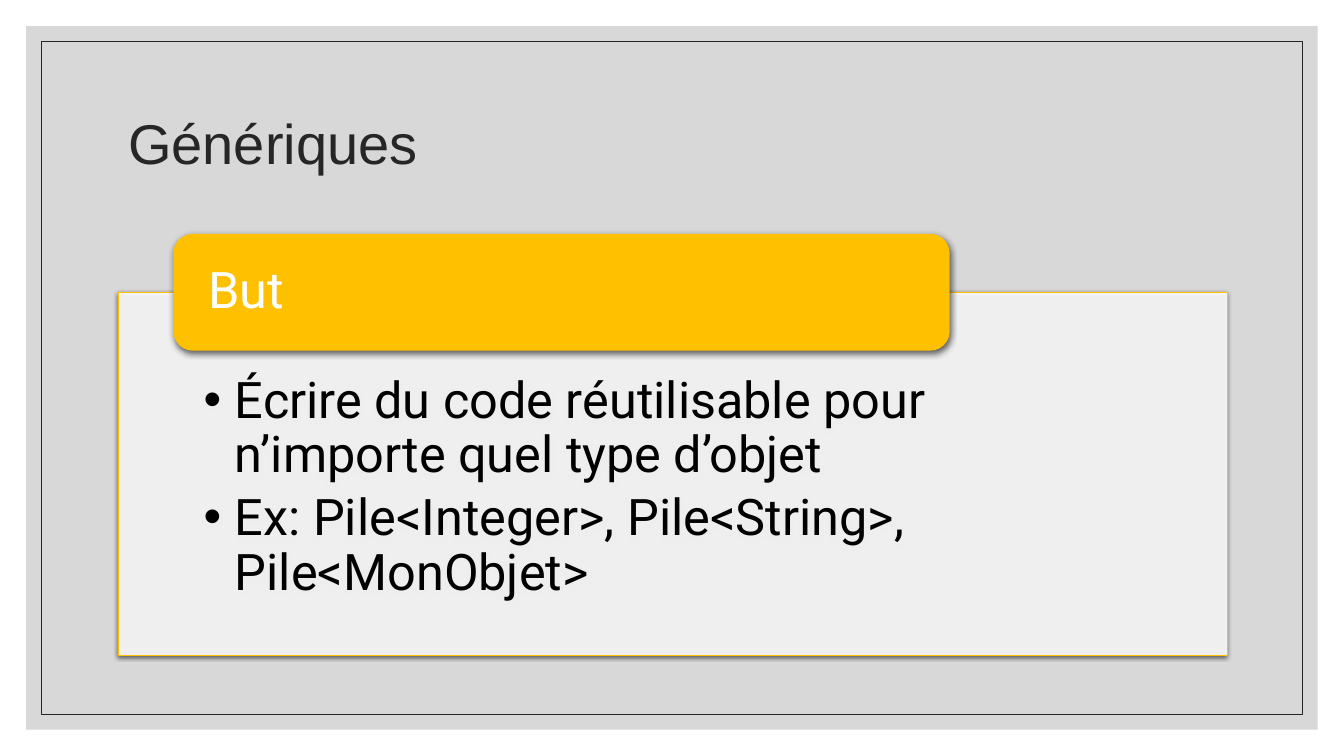
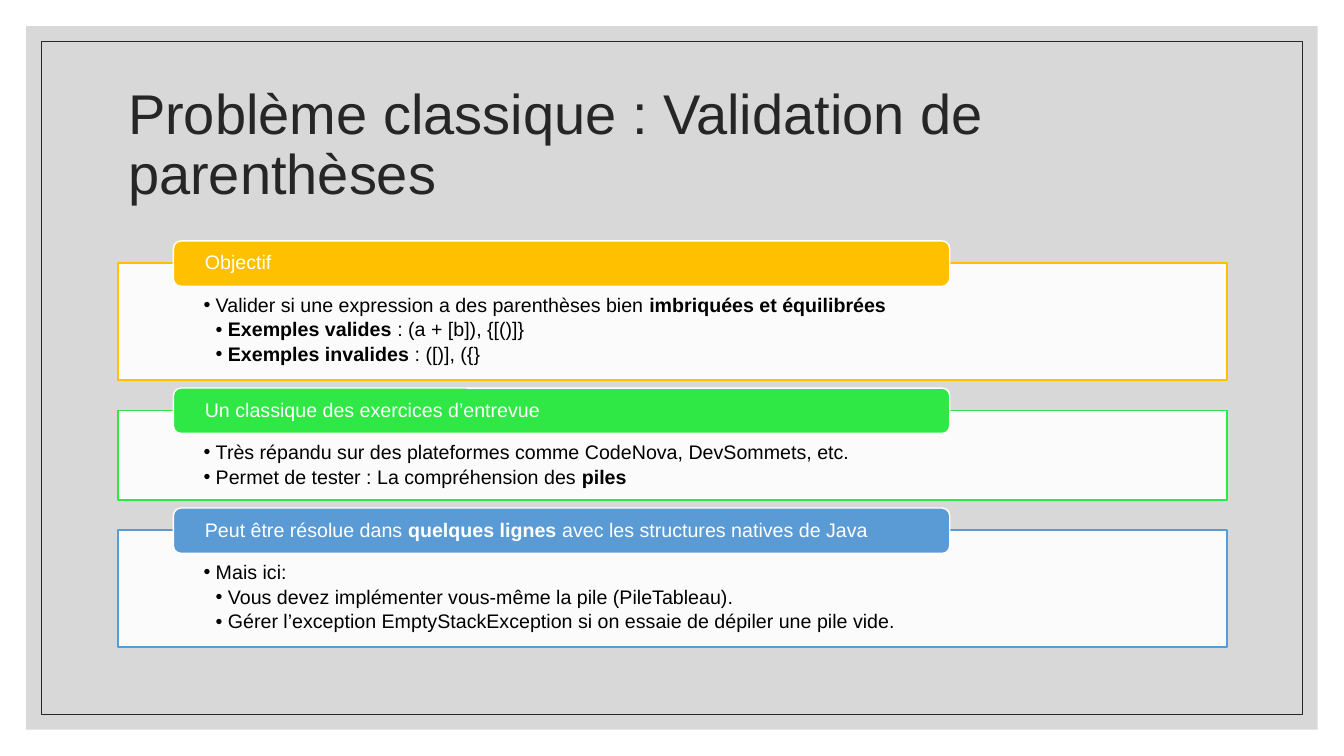
"""Build two slides on generics and parenthesis validation."""
import dataclasses

import lxml.etree
import pptx
import pptx.dml.color
import pptx.enum.shapes
import pptx.enum.text
import pptx.oxml.ns
import pptx.util

EMU_PER_PX = 9144
SLIDE_WIDTH, SLIDE_HEIGHT = 1333, 750
PANEL_LEFT, PANEL_WIDTH = 117, 1100
TAB_LEFT, TAB_WIDTH = 172, 770
TITLE_BOX = (PANEL_LEFT, 70, PANEL_WIDTH, 150)
BACKDROP, DARK, WHITE, BLACK = "BFBFBF", "262626", "FFFFFF", "000000"
AMBER, GREEN, BLUE = "FFC000", "30E845", "5B9BD5"
SHAPES = pptx.enum.shapes.MSO_SHAPE
ANCHORS = pptx.enum.text.MSO_ANCHOR


@dataclasses.dataclass
class CardStyle:
    """Measures shared by the cards of one slide."""
    font: str
    size: int
    tab_height: int
    text_top: int
    bullet_indent: int
    panel_line: float
    tab_line: float
    space_after: float
    shadow: bool = False


LARGE = CardStyle("Roboto", 36, 116, 82, 31, 0.5, 0, 6, shadow=True)
SMALL = CardStyle("Arial", 14, 45, 32, 12, 1, 1, 2.5)
CARD_GAP = 30

GOAL = ("But", AMBER, 360, [
    (1, "Écrire du code réutilisable pour n’importe quel type d’objet"),
    (1, "Ex: Pile<Integer>, Pile<String>, Pile<MonObjet>"),
])
PROBLEM_CARDS = [
    ("Objectif", AMBER, 116, [
        (1, "Valider si une expression a des parenthèses bien **imbriquées et équilibrées**"),
        (2, "**Exemples valides **: (a + [b]), {[()]}"),
        (2, "**Exemples invalides **: ([)], ({}"),
    ]),
    ("Un classique des exercices d’entrevue", GREEN, 89, [
        (1, "Très répandu sur des plateformes comme CodeNova, DevSommets, etc."),
        (1, "Permet de tester : La compréhension des **piles**"),
    ]),
    ("Peut être résolue dans **quelques lignes **avec les structures natives de Java", BLUE, 116, [
        (1, "Mais ici:"),
        (2, "Vous devez implémenter vous-même la pile (PileTableau)."),
        (2, "Gérer l’exception EmptyStackException si on essaie de dépiler une pile vide."),
    ]),
]


def px(length):
    """Turn px into EMU."""
    return pptx.util.Emu(length * EMU_PER_PX)


def color(hex_string):
    """Turn a hex string into a colour."""
    return pptx.dml.color.RGBColor.from_string(hex_string)


def add_xml(parent, tag, **attributes):
    """Append a DrawingML child element."""
    child = lxml.etree.SubElement(parent, pptx.oxml.ns.qn(tag))
    for name, value in attributes.items():
        child.set(name, str(value))
    return child


def add_box(slide, kind, box, fill=None, opacity=100, line=None, line_width=0):
    """Add a flat preset shape."""
    shape = slide.shapes.add_shape(kind, *map(px, box))
    shape.shadow.inherit = False
    if fill:
        shape.fill.solid()
        shape.fill.fore_color.rgb = color(fill)
        if opacity < 100:
            solid_fill = shape.element.spPr.find(pptx.oxml.ns.qn("a:solidFill"))
            add_xml(solid_fill[0], "a:alpha", val=opacity * 1000)
    else:
        shape.fill.background()
    if line_width:
        shape.line.color.rgb = color(line)
        shape.line.width = pptx.util.Pt(line_width)
    else:
        shape.line.fill.background()
    return shape


def add_shadow(shape, blur, distance):
    """Give a shape a soft shadow below, in points."""
    effects = shape.element.spPr.find(pptx.oxml.ns.qn("a:effectLst"))
    shadow = add_xml(effects, "a:outerShdw", blurRad=pptx.util.Pt(blur),
                     dist=pptx.util.Pt(distance), dir=5400000, rotWithShape=0)
    add_xml(add_xml(shadow, "a:srgbClr", val=BLACK), "a:alpha", val=63000)


def set_frame(frame, anchor, insets):
    """Set wrapping, anchor and insets of a text frame."""
    frame.word_wrap = True
    frame.auto_size = pptx.enum.text.MSO_AUTO_SIZE.NONE
    frame.vertical_anchor = anchor
    frame.margin_left, frame.margin_top, frame.margin_right, frame.margin_bottom = map(px, insets)


def write(paragraph, text, font, size, hex_string):
    """Write a paragraph whose bold parts stand between double asterisks."""
    paragraph.alignment = pptx.enum.text.PP_ALIGN.LEFT
    paragraph.line_spacing = 0.9
    for index, part in enumerate(text.split("**")):
        if part:
            run = paragraph.add_run()
            run.text = part
            run.font.name = font
            run.font.size = pptx.util.Pt(size)
            run.font.bold = index % 2 == 1
            run.font.color.rgb = color(hex_string)


def write_bullets(frame, items, style):
    """Fill a text frame with bulleted paragraphs."""
    for index, (level, text) in enumerate(items):
        paragraph = frame.add_paragraph() if index else frame.paragraphs[0]
        paragraph.level = level
        write(paragraph, text, style.font, style.size, BLACK)
        paragraph.space_after = pptx.util.Pt(style.space_after)
        properties = paragraph._p.get_or_add_pPr()
        properties.set("marL", str(px(style.bullet_indent * level)))
        properties.set("indent", str(px(-style.bullet_indent)))
        add_xml(properties, "a:buFont", typeface="Arial")
        add_xml(properties, "a:buChar", char="•")


def add_card(slide, top, card, style):
    """Add a bulleted panel with a heading tab across its upper edge."""
    heading, accent, height, items = card
    panel = add_box(slide, SHAPES.RECTANGLE, (PANEL_LEFT, top, PANEL_WIDTH, height),
                    WHITE, 90, accent, style.panel_line)
    set_frame(panel.text_frame, ANCHORS.TOP, (85, style.text_top, 85, 11))
    write_bullets(panel.text_frame, items, style)
    tab_box = (TAB_LEFT, top - style.tab_height // 2, TAB_WIDTH, style.tab_height)
    tab = add_box(slide, SHAPES.ROUNDED_RECTANGLE, tab_box, accent,
                  line=WHITE, line_width=style.tab_line)
    set_frame(tab.text_frame, ANCHORS.MIDDLE, (29, 0, 29, 0))
    write(tab.text_frame.paragraphs[0], heading, style.font, style.size, WHITE)
    if style.shadow:
        add_shadow(panel, 3, 1)
        add_shadow(tab, 4.5, 1.5)


def add_slide(presentation, title):
    """Add a slide with its title."""
    slide = presentation.slides.add_slide(presentation.slide_layouts[5])
    frame = slide.shapes.title.text_frame
    set_frame(frame, ANCHORS.MIDDLE, (10, 5, 10, 5))
    write(frame.paragraphs[0], title, "Arial", 40, DARK)
    return slide


def inset_box(margin):
    """Return the slide area inside an equal margin."""
    return margin, margin, SLIDE_WIDTH - 2 * margin, SLIDE_HEIGHT - 2 * margin


def set_layout(slide):
    """Put the shared backdrop, frame and title place on the layout."""
    layout = slide.slide_layout
    title = layout.placeholders[0]
    title.left, title.top, title.width, title.height = map(px, TITLE_BOX)
    backdrop = add_box(slide, SHAPES.RECTANGLE, inset_box(26), BACKDROP, 60)
    border = add_box(slide, SHAPES.RECTANGLE, inset_box(41), line=DARK, line_width=0.5)
    for index, shape in enumerate((backdrop, border)):
        shape.element.nvSpPr.cNvPr.set("id", str(100 + index))
        layout.shapes.element.insert(2 + index, shape.element)


def main():
    """Build and save the presentation."""
    presentation = pptx.Presentation()
    presentation.slide_width, presentation.slide_height = px(SLIDE_WIDTH), px(SLIDE_HEIGHT)

    generics = add_slide(presentation, "Génériques")
    set_layout(generics)
    add_card(generics, 290, GOAL, LARGE)

    problem = add_slide(presentation, "Problème classique : Validation de parenthèses")
    top = 261
    for card in PROBLEM_CARDS:
        add_card(problem, top, card, SMALL)
        top += card[2] + CARD_GAP

    presentation.save("out.pptx")


if __name__ == "__main__":
    main()
